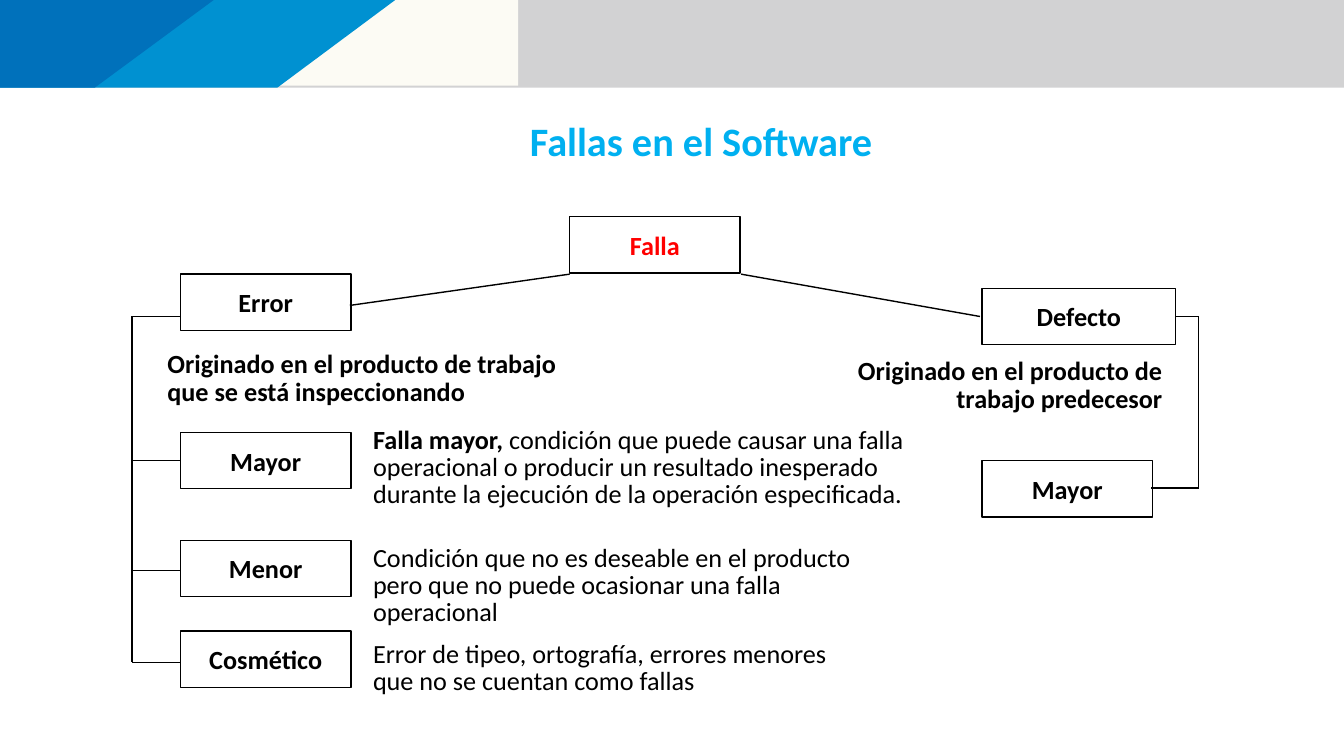
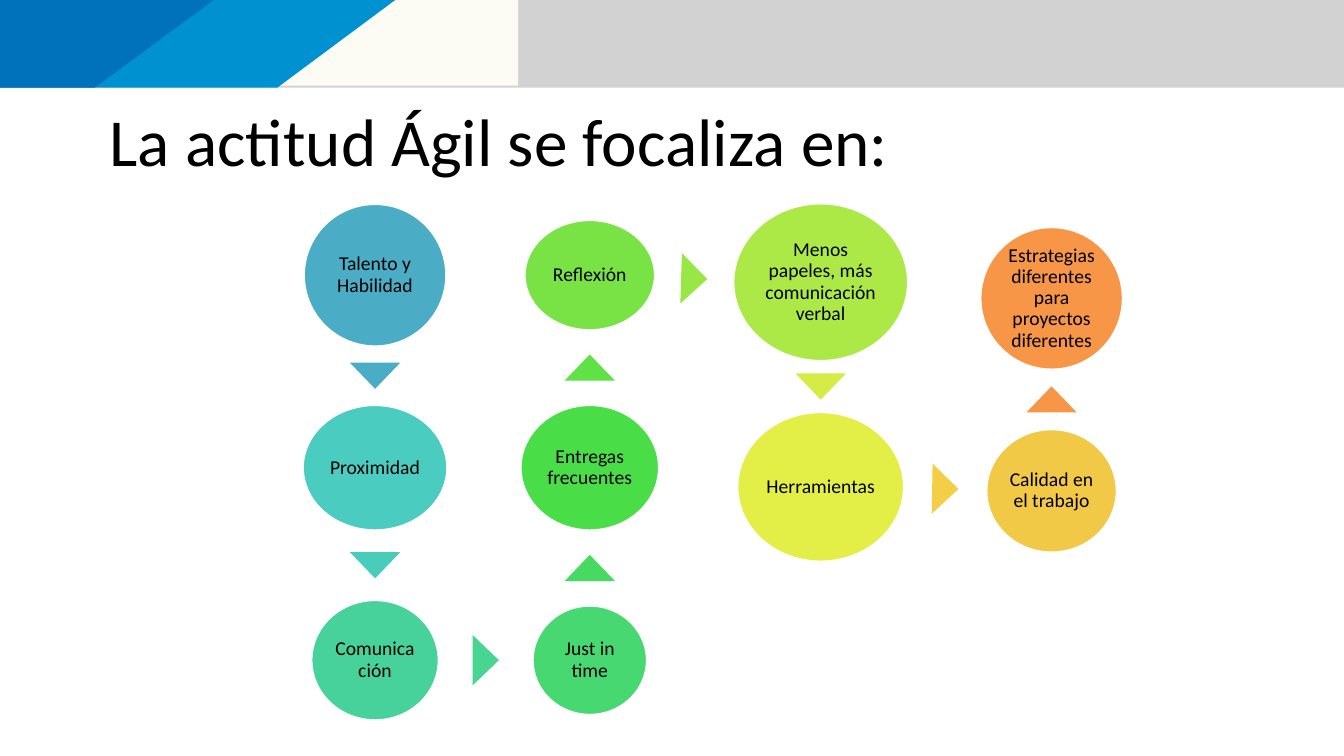
from itertools import pairwise
from math import atan2, degrees

from lxml import etree
from pptx import Presentation
from pptx.dml.color import RGBColor
from pptx.enum.shapes import MSO_CONNECTOR, MSO_SHAPE
from pptx.enum.text import MSO_ANCHOR, MSO_AUTO_SIZE, PP_ALIGN
from pptx.oxml.ns import qn
from pptx.util import Pt

PX = 9144  # 100 px to the inch
WIDE, HIGH = 1333, 750
RECT, OVAL, WEDGE = MSO_SHAPE.RECTANGLE, MSO_SHAPE.OVAL, MSO_SHAPE.ISOSCELES_TRIANGLE
LEFT, CENTER, RIGHT = PP_ALIGN.LEFT, PP_ALIGN.CENTER, PP_ALIGN.RIGHT
TOP, MIDDLE = MSO_ANCHOR.TOP, MSO_ANCHOR.MIDDLE
FIXED = MSO_AUTO_SIZE.NONE
STRAIGHT = MSO_CONNECTOR.STRAIGHT

FONT = "Calibri"
BLACK, WHITE, RED, CYAN = "000000", "FFFFFF", "FF0000", "00B0F0"
GREY, CREAM, SKY, BLUE = "D2D2D3", "FCFBF4", "0091D1", "0071BB"


def px(*sizes):
    return [round(size * PX) for size in sizes]


def paint(fill, color):
    fill.solid()
    fill.fore_color.rgb = RGBColor.from_string(color)


def write(frame, text, lead="", size=18.7, color=BLACK, bold=False,
          align=LEFT, anchor=TOP, space=1.0, wrap=True, pad=(13, 6)):
    """Fill a text frame with one paragraph, after an optional bold lead."""
    frame.word_wrap = wrap
    frame.auto_size = FIXED
    frame.vertical_anchor = anchor
    frame.margin_left, frame.margin_top = px(*pad)
    frame.margin_right, frame.margin_bottom = px(*pad)
    para = frame.paragraphs[0]
    para.alignment = align
    para.line_spacing = space
    for part, heavy in ((lead, True), (text, bold)):
        if part:
            run = para.add_run()
            run.text = part
            run.font.name = FONT
            run.font.size = Pt(size)
            run.font.bold = heavy
            paint(run.font.fill, color)


class Deck:
    def __init__(self):
        self.file = Presentation()
        self.file.slide_width, self.file.slide_height = px(WIDE, HIGH)
        self.base = self.file.slide_layouts[5]
        self.slide = None

    def new(self, title, left, top, width, height, **style):
        first = self.slide is None
        self.slide = self.file.slides.add_slide(self.base)
        if first:
            self.bands()
        head = self.slide.shapes.title
        head.left, head.top, head.width, head.height = px(left, top, width, height)
        write(head.text_frame, title, align=CENTER, pad=(0, 0), **style)

    def bands(self):
        """Draw the header once and move it to the shared layout."""
        parts = [
            self.shape(RECT, 0, 0, WIDE, 87, GREY),
            self.shape(RECT, 0, 0, 514, 85, CREAM),
            self.poly([(392, 0), (0, 0), (0, 87), (275, 87)], SKY),
            self.poly([(212, 0), (0, 0), (0, 87), (94, 87)], BLUE),
        ]
        for part in parts:
            self.base.shapes.element.append(part.element)

    def dress(self, shape, fill, line=None, weight=1):
        shape.shadow.inherit = False
        paint(shape.fill, fill)
        if line:
            paint(shape.line.fill, line)
            shape.line.width = Pt(weight)
        else:
            shape.line.fill.background()
        return shape

    def shape(self, kind, left, top, width, height, fill, **edge):
        shape = self.slide.shapes.add_shape(kind, *px(left, top, width, height))
        return self.dress(shape, fill, **edge)

    def poly(self, points, fill):
        pen = self.slide.shapes.build_freeform(*points[0], scale=PX)
        pen.add_line_segments(points[1:], close=True)
        return self.dress(pen.convert_to_shape(), fill)

    def box(self, text, left, top, width=169, color=BLACK):
        shape = self.shape(RECT, left, top, width, 56, WHITE, line=BLACK)
        write(shape.text_frame, text, color=color, bold=True,
              align=CENTER, anchor=MIDDLE, wrap=False)

    def note(self, text, left, top, width, height, **style):
        area = self.slide.shapes.add_textbox(*px(left, top, width, height))
        write(area.text_frame, text, **style)

    def line(self, *ends):
        line = self.slide.shapes.add_connector(STRAIGHT, *px(*ends))
        paint(line.line.fill, BLACK)
        line.line.width = Pt(1)
        etree.SubElement(line.element.spPr, qn("a:effectLst"))

    def disc(self, text, x, y, width, height, fill):
        shape = self.shape(OVAL, x - width / 2, y - height / 2, width, height,
                           fill, line=WHITE, weight=2)
        write(shape.text_frame, text, size=14, align=CENTER, anchor=MIDDLE,
              space=0.9, pad=(2, 2))

    def arrow(self, start, end, fill):
        """Put a triangle midway in the gap between two discs."""
        (x1, y1, w1, h1), (x2, y2, w2, h2) = start, end
        across, down = x2 - x1, y2 - y1
        x, y = (x1 + x2) / 2, (y1 + y2) / 2
        if abs(across) > abs(down):
            x += (w1 - w2) / 4
        else:
            y += (h1 - h2) / 4 * (1 if down > 0 else -1)
        wedge = self.shape(WEDGE, x - 25, y - 13, 50, 26, fill)
        wedge.rotation = degrees(atan2(down, across)) + 90


def faults(deck):
    deck.new("Fallas en el Software", 129, 115, 1133, 52,
             size=28.8, color=CYAN, bold=True)
    deck.box("Falla", 565, 215, color=RED)
    deck.box("Error", 179, 272)
    deck.box("Defecto", 974, 286, width=192)
    deck.box("Mayor", 974, 457)
    for text, top in (("Mayor", 429), ("Menor", 536), ("Cosmético", 626)):
        deck.box(text, 179, top)

    deck.line(565, 272, 347, 303)
    deck.line(735, 272, 972, 314)
    deck.line(131, 314, 131, 657)
    for y in (314, 457, 566, 657):
        deck.line(179, y, 131, y)
    deck.line(1189, 314, 1189, 484)
    for x, y in ((1166, 314), (1142, 484)):
        deck.line(1189, y, x, y)

    deck.note("Originado en el producto de trabajo que se está inspeccionando",
              153, 342, 448, 70, bold=True, space=0.9)
    deck.note("Originado en el producto de trabajo predecesor",
              789, 349, 377, 70, bold=True, space=0.9, align=RIGHT)
    deck.note("condición que puede causar una falla operacional o producir un "
              "resultado inesperado durante la ejecución de la operación "
              "especificada.",
              357, 419, 602, 93, lead="Falla mayor, ", space=0.85)
    deck.note("Condición que no es deseable en el producto pero que no puede "
              "ocasionar una falla operacional", 357, 536, 513, 93, space=0.85)
    deck.note("Error de tipeo, ortografía, errores menores que no se cuentan "
              "como fallas", 357, 631, 513, 66, space=0.85)


def agile(deck):
    deck.new("La actitud Ágil se focaliza en:", 0, 99, 990, 117, size=48)
    cols = (372, 585, 814, 1043)
    # text, centre, size, fill
    discs = [
        ("Talento y Habilidad", cols[0], 273, 142, 142, "4BACC6"),
        ("Proximidad", cols[0], 464, 144, 125, "4ACCC0"),
        ("Comunicación", cols[0], 655, 127, 120, "48D29B"),
        ("Just in time", cols[1], 655, 114, 109, "47D872"),
        ("Entregas frecuentes", cols[1], 464, 138, 125, "49DE47"),
        ("Reflexión", cols[1], 273, 130, 110, "79E346"),
        ("Menos papeles, más comunicación verbal", cols[2], 280, 174, 157, "ACE946"),
        ("Herramientas", cols[2], 483, 166, 149, "E3EE46"),
        ("Calidad en el trabajo", cols[3], 487, 130, 123, "F2C946"),
        ("Estrategias diferentes para proyectos diferentes",
         cols[3], 296, 142, 142, "F79646"),
    ]
    tints = ("4BACC6", "49CDBB", "48D491", "47DA61", "60E146",
             "98E746", "D5EC46", "F2CF46", "F79646")
    for disc in discs:
        deck.disc(*disc)
    for (start, end), tint in zip(pairwise(discs), tints):
        deck.arrow(start[1:5], end[1:5], tint)


def main():
    deck = Deck()
    faults(deck)
    agile(deck)
    deck.file.save("out.pptx")


if __name__ == "__main__":
    main()
